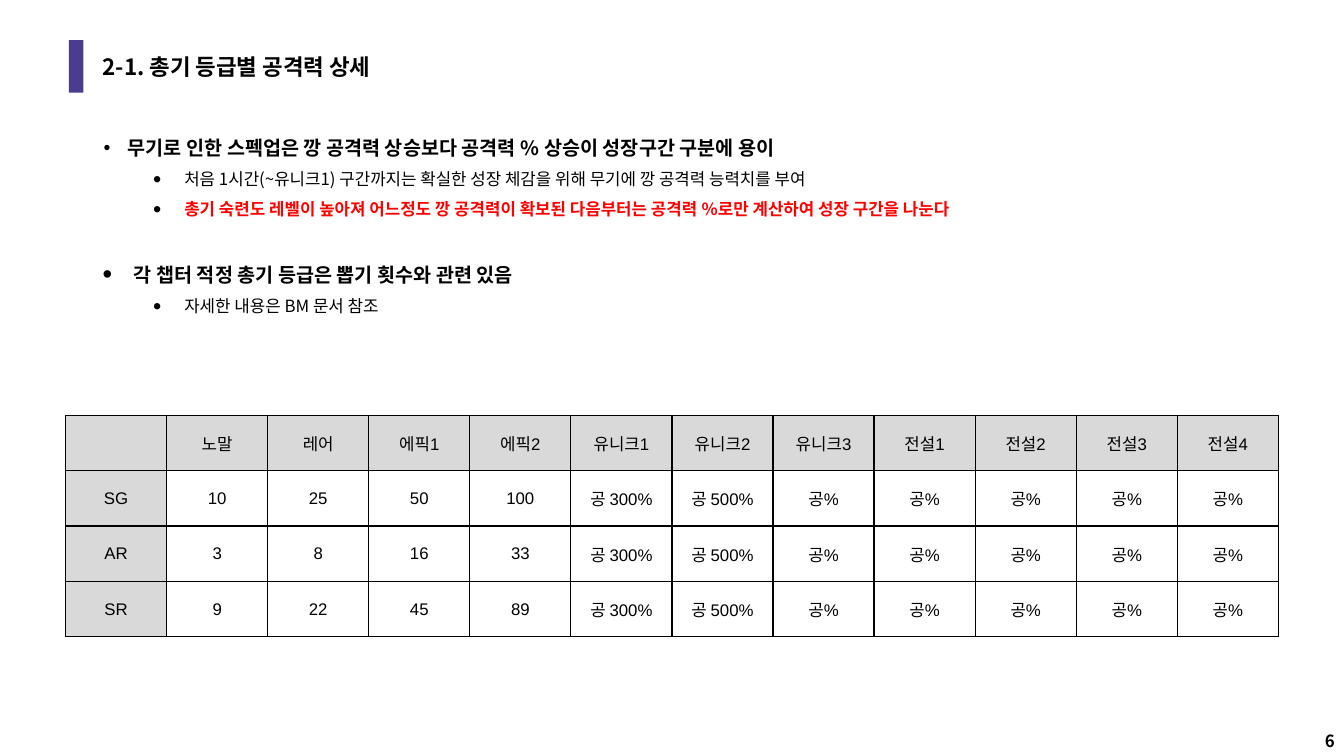
import pptx
import pptx.util
import pptx.dml.color
import pptx.enum.shapes
import pptx.enum.text
import pptx.oxml
import pptx.oxml.ns

Pt = pptx.util.Pt
Inches = pptx.util.Inches
RGB = pptx.dml.color.RGBColor
Align = pptx.enum.text.PP_ALIGN
Anchor = pptx.enum.text.MSO_ANCHOR
qn = pptx.oxml.ns.qn

BLACK = RGB(0x00, 0x00, 0x00)
RED = RGB(0xFF, 0x00, 0x00)
PURPLE = RGB(0x4B, 0x3C, 0x8F)
GREY = RGB(0xD9, 0xD9, 0xD9)

SLIDE_WIDTH = Inches(13.33)
SLIDE_HEIGHT = Inches(7.5)
KOREAN_FONT = "Noto Sans CJK KR"
TABLE_FONT = "Arial"

GRADES = ["", "노말", "레어", "에픽1", "에픽2", "유니크1", "유니크2", "유니크3",
          "전설1", "전설2", "전설3", "전설4"]
BASE_ATTACK = {
    "SG": [10, 25, 50, 100],
    "AR": [3, 8, 16, 33],
    "SR": [9, 22, 45, 89],
}
PERCENT_ATTACK = ["공 300%", "공 500%"] + ["공%"] * 5

HEADING = dict(size=14, bold=True, hang=0.31, bullet_percent=140)
DETAIL = dict(size=12, level=1, margin=0.81, hang=0.31, before=7, bullet_percent=140)
POINTS = [
    ("무기로 인한 스펙업은 깡 공격력 상승보다 공격력 % 상승이 성장구간 구분에 용이",
     {**HEADING, "margin": 0.25, "hang": 0.24, "spacing": 1.5, "bullet_percent": 100}),
    ("처음 1시간(~유니크1) 구간까지는 확실한 성장 체감을 위해 무기에 깡 공격력 능력치를 부여",
     DETAIL),
    ("총기 숙련도 레벨이 높아져 어느정도 깡 공격력이 확보된 다음부터는 공격력 %로만 계산하여 성장 구간을 나눈다",
     {**DETAIL, "color": RED, "bold": True}),
    ("각 챕터 적정 총기 등급은 뽑기 횟수와 관련 있음",
     {**HEADING, "margin": 0.31, "before": 31}),
    ("자세한 내용은 BM 문서 참조", DETAIL),
]


def percent_box(left, top, width, height):
    return (int(SLIDE_WIDTH * left / 100), int(SLIDE_HEIGHT * top / 100),
            int(SLIDE_WIDTH * width / 100), int(SLIDE_HEIGHT * height / 100))


def add_xml(parent, tag, **attributes):
    child = pptx.oxml.parse_xml(f"<a:{tag} {pptx.oxml.ns.nsdecls('a')}/>")
    for key, value in attributes.items():
        child.set(key, str(value))
    parent.append(child)
    return child


def write(paragraph, text, size, bold=False, color=BLACK, font=KOREAN_FONT):
    paragraph.text = text
    for run in paragraph.runs:
        run.font.size = Pt(size)
        run.font.bold = bold
        run.font.color.rgb = color
        run.font.name = font
        if font == KOREAN_FONT:
            add_xml(run.font._element, "ea", typeface=font)


def add_text_frame(slide, box, anchor):
    frame = slide.shapes.add_textbox(*box).text_frame
    frame.word_wrap = True
    frame.vertical_anchor = anchor
    return frame


def add_accent_bar(slide, box):
    bar = slide.shapes.add_shape(pptx.enum.shapes.MSO_SHAPE.RECTANGLE, *box)
    bar.shadow.inherit = False
    bar.fill.solid()
    bar.fill.fore_color.rgb = PURPLE
    bar.line.fill.background()


def add_title(slide, box, text):
    title = add_text_frame(slide, box, Anchor.MIDDLE).paragraphs[0]
    write(title, text, 20, bold=True)
    title.line_spacing = 0.9
    title.runs[0].font._element.set("cap", "small")


def add_page_number(slide, box, number):
    page = add_text_frame(slide, box, Anchor.BOTTOM).paragraphs[0]
    write(page, number, 12, bold=True)
    page.alignment = Align.RIGHT


def write_point(paragraph, text, size, margin, hang, bullet_percent,
                level=0, before=0, spacing=None, bold=False, color=BLACK):
    write(paragraph, text, size, bold, color)
    paragraph.level = level
    paragraph.space_before = Pt(before)
    if spacing:
        paragraph.line_spacing = spacing
    properties = paragraph._p.get_or_add_pPr()
    properties.set("marL", str(Inches(margin)))
    properties.set("indent", str(-Inches(hang)))
    add_xml(add_xml(properties, "buClr"), "srgbClr", val=BLACK)
    add_xml(properties, "buSzPct", val=bullet_percent * 1000)
    add_xml(properties, "buFont", typeface="Arial")
    add_xml(properties, "buChar", char="•")


def add_points(slide, box, points):
    frame = add_text_frame(slide, box, Anchor.TOP)
    for index, (text, style) in enumerate(points):
        paragraph = frame.add_paragraph() if index else frame.paragraphs[0]
        write_point(paragraph, text, **style)


def border_cell(cell):
    properties = cell._tc.get_or_add_tcPr()
    for side in ("lnL", "lnR", "lnT", "lnB"):
        border = add_xml(properties, side, w=Pt(1))
        add_xml(add_xml(border, "solidFill"), "srgbClr", val=BLACK)


def write_cell(cell, text, is_label):
    border_cell(cell)
    if is_label:
        cell.fill.solid()
        cell.fill.fore_color.rgb = GREY
    else:
        cell.fill.background()
    cell.margin_left = cell.margin_right = Inches(0.14)
    cell.margin_top = cell.margin_bottom = Inches(0.07)
    cell.vertical_anchor = Anchor.MIDDLE
    paragraph = cell.text_frame.paragraphs[0]
    write(paragraph, text, 12, font=TABLE_FONT)
    paragraph.alignment = Align.CENTER


def add_attack_table(slide, box):
    rows = [GRADES] + [[gun, *map(str, attack), *PERCENT_ATTACK]
                       for gun, attack in BASE_ATTACK.items()]
    table = slide.shapes.add_table(len(rows), len(GRADES), *box).table
    table.first_row = False
    table.horz_banding = False
    for row, texts in enumerate(rows):
        for column, text in enumerate(texts):
            write_cell(table.cell(row, column), text, row == 0 or column == 0)


def main():
    deck = pptx.Presentation()
    deck.slide_width = SLIDE_WIDTH
    deck.slide_height = SLIDE_HEIGHT
    slide = deck.slides.add_slide(deck.slide_layouts[6])
    add_page_number(slide, percent_box(93.15, 94.67, 6.9, 5.33), "6")
    add_accent_bar(slide, percent_box(5.12, 5.33, 1.08, 6.93))
    add_title(slide, percent_box(6.9, 5.33, 86.25, 6.93), "2-1. 총기 등급별 공격력 상세")
    add_attack_table(slide, percent_box(4.88, 54.93, 90.25, 29.33))
    add_points(slide, percent_box(6.9, 15.73, 86.25, 34.27), POINTS)
    deck.save("out.pptx")


main()
